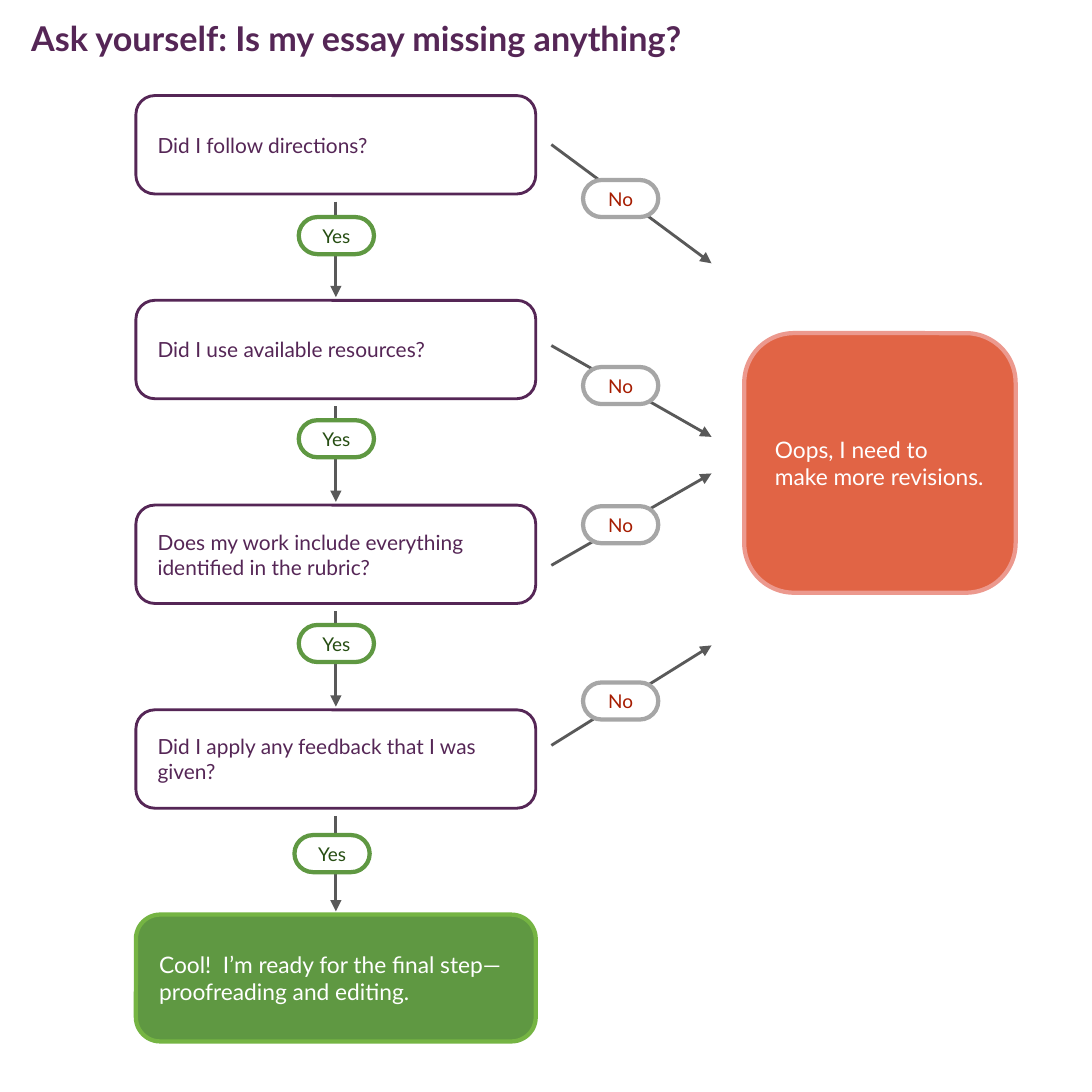
from pptx import Presentation
from pptx.dml.color import RGBColor
from pptx.enum.shapes import MSO_CONNECTOR, MSO_SHAPE
from pptx.enum.text import MSO_ANCHOR, PP_ALIGN
from pptx.oxml.ns import qn
from pptx.util import Cm, Pt
from lxml.etree import SubElement

COLORS = {
    "purple": "552656",
    "white": "FFFFFF",
    "green": "5F9842",
    "light green": "75B443",
    "dark green": "274E13",
    "orange": "E16445",
    "pink": "EC998E",
    "gray": "595959",
    "light gray": "A6A6A6",
    "red": "A61C00",
}
INSET = 0.3
STEP_PITCH = 3.81
STEP_HEIGHT = 1.83
PILL_WIDTH, PILL_HEIGHT = 1.4, 0.69

QUESTIONS = [
    "Did I follow directions?",
    "Did I use available resources?",
    "Does my work include everything identified in the rubric?",
    "Did I apply any feedback that I was given?",
]
# Left and top of each Yes label, measured from the top left of its question
YES_OFFSETS = [(3.03, 2.26), (3.03, 2.23), (3.03, 2.23), (2.95, 2.33)]
# Start, end and label top of each No arrow, measured from the top of the region
NO_BRANCHES = [
    (0.91, 3.12, 1.57),
    (4.65, 6.35, 5.05),
    (8.74, 7.03, 7.64),
    (12.09, 10.23, 10.92),
]


def rgb(name):
    return RGBColor.from_string(COLORS[name])


def write_text(shape, text, *, size, color, bold=False, align=PP_ALIGN.LEFT,
               anchor=MSO_ANCHOR.MIDDLE, side_inset=INSET):
    frame = shape.text_frame
    frame.word_wrap = True
    frame.vertical_anchor = anchor
    frame.margin_left = frame.margin_right = Cm(side_inset)
    frame.margin_top = frame.margin_bottom = Cm(INSET)
    paragraph = frame.paragraphs[0]
    paragraph.alignment = align
    run = paragraph.add_run()
    run.text = text
    run.font.name = "Lato"
    run.font.size = Pt(size)
    run.font.bold = bold
    run.font.color.rgb = rgb(color)


def add_rounded_box(slide, left, top, width, height, *, fill, line,
                    line_width=2.25, rounding=0.191):
    shape = slide.shapes.add_shape(
        MSO_SHAPE.ROUNDED_RECTANGLE, Cm(left), Cm(top), Cm(width), Cm(height))
    shape.shadow.inherit = False
    shape.adjustments[0] = rounding
    shape.fill.solid()
    shape.fill.fore_color.rgb = rgb(fill)
    shape.line.color.rgb = rgb(line)
    shape.line.width = Pt(line_width)
    return shape


def add_pill(slide, left, top, text, *, line, color, side_inset):
    pill = add_rounded_box(slide, left, top, PILL_WIDTH, PILL_HEIGHT,
                           fill="white", line=line, rounding=0.5)
    write_text(pill, text, size=10, color=color, align=PP_ALIGN.CENTER,
               side_inset=side_inset)


def add_arrow(slide, start_x, start_y, end_x, end_y):
    arrow = slide.shapes.add_connector(
        MSO_CONNECTOR.STRAIGHT, Cm(start_x), Cm(start_y), Cm(end_x), Cm(end_y))
    arrow.line.color.rgb = rgb("gray")
    arrow.line.width = Pt(1.5)
    SubElement(arrow.line._get_or_add_ln(), qn("a:tailEnd"), type="triangle")
    SubElement(arrow._element.spPr, qn("a:effectLst"))


def add_title(slide, left, top, width, height):
    title = slide.shapes.add_textbox(Cm(left), Cm(top), Cm(width), Cm(height))
    write_text(title, "Ask yourself: Is my essay missing anything?", size=18,
               color="purple", bold=True, anchor=MSO_ANCHOR.TOP, side_inset=0)


def add_question_column(slide, left, top, width):
    """Stack the questions, joined by Yes arrows, above the final step."""
    center = left + width / 2
    for index, (question, (pill_left, pill_top)) in enumerate(
            zip(QUESTIONS, YES_OFFSETS)):
        step_top = top + index * STEP_PITCH
        box = add_rounded_box(slide, left, step_top, width, STEP_HEIGHT,
                              fill="white", line="purple", line_width=1.5)
        write_text(box, question, size=11, color="purple")
        arrow_top = step_top + STEP_HEIGHT + 0.14
        add_arrow(slide, center, arrow_top, center, arrow_top + 1.78)
        add_pill(slide, left + pill_left, step_top + pill_top, "Yes",
                 line="green", color="dark green", side_inset=0)
    final_top = top + len(QUESTIONS) * STEP_PITCH
    final = add_rounded_box(slide, left, final_top, width, 2.36,
                            fill="green", line="light green")
    write_text(final,
               "Cool!  I’m ready for the final step—proofreading and editing.",
               size=12, color="white")


def add_no_branches(slide, left, top, width):
    for start, end, pill_top in NO_BRANCHES:
        add_arrow(slide, left, top + start, left + width, top + end)
        add_pill(slide, left + 0.59, top + pill_top, "No",
                 line="light gray", color="red", side_inset=INSET)


def add_revision_box(slide, left, top, width, height):
    box = add_rounded_box(slide, left, top, width, height,
                          fill="orange", line="pink")
    write_text(box, "Oops, I need to make more revisions.", size=12,
               color="white")


def main():
    presentation = Presentation()
    presentation.slide_width = presentation.slide_height = Cm(20.32)
    slide = presentation.slides.add_slide(presentation.slide_layouts[6])
    add_title(slide, 0.58, 0.03, 17.04, 1.5)
    add_question_column(slide, 2.53, 1.78, 7.44)
    add_no_branches(slide, 10.26, 1.78, 2.98)
    add_revision_box(slide, 13.85, 6.2, 5.05, 4.83)
    presentation.save("out.pptx")


if __name__ == "__main__":
    main()
